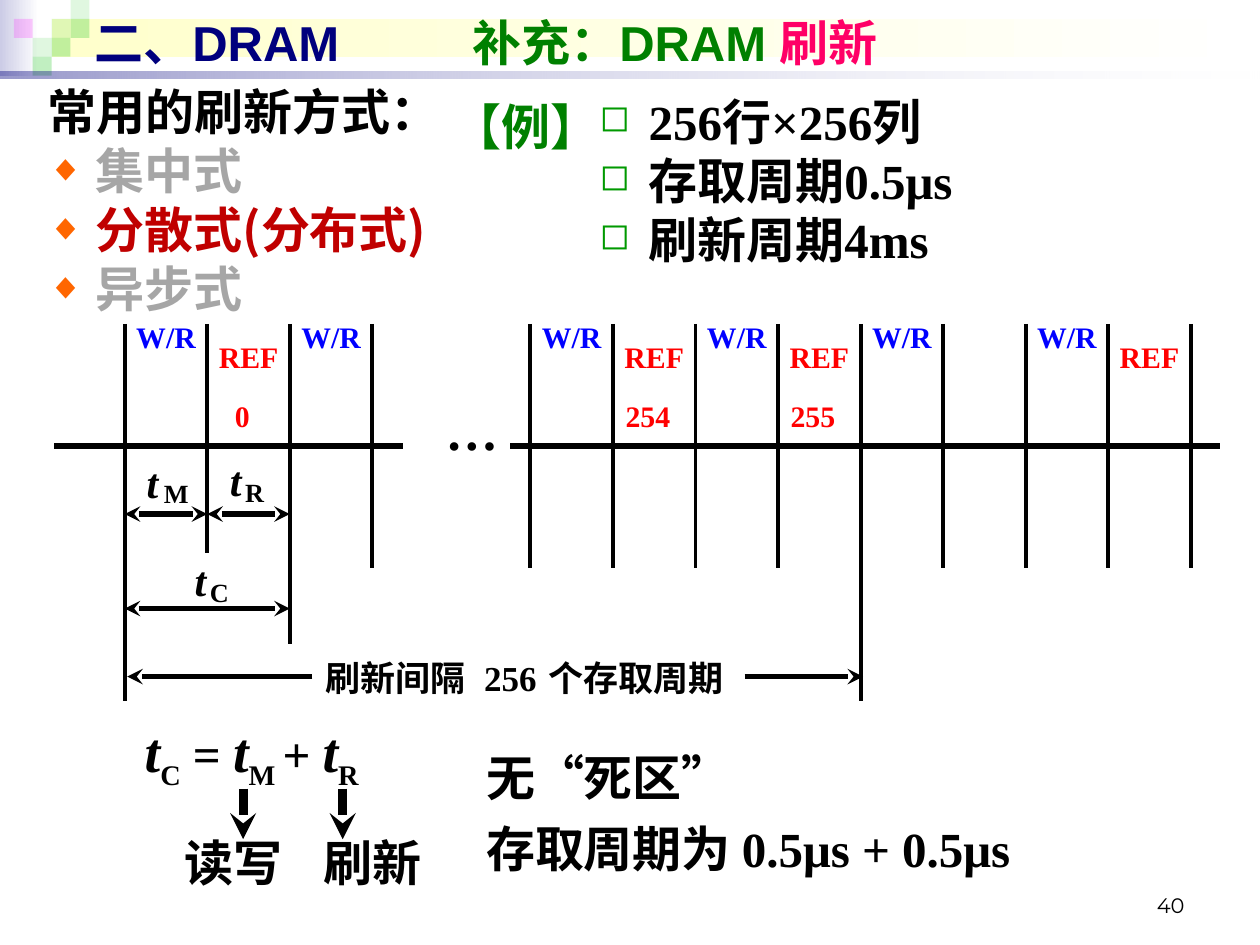
from lxml import etree
from pptx import Presentation
from pptx.dml.color import RGBColor
from pptx.enum.shapes import MSO_CONNECTOR, MSO_SHAPE
from pptx.enum.text import MSO_ANCHOR, MSO_AUTO_SIZE, PP_ALIGN
from pptx.oxml.ns import qn
from pptx.util import Inches, Pt

RECT, STRAIGHT = MSO_SHAPE.RECTANGLE, MSO_CONNECTOR.STRAIGHT
LEFT, CENTER, RIGHT = PP_ALIGN.LEFT, PP_ALIGN.CENTER, PP_ALIGN.RIGHT
TOP, MIDDLE, BOTTOM = MSO_ANCHOR.TOP, MSO_ANCHOR.MIDDLE, MSO_ANCHOR.BOTTOM
NO_FIT = MSO_AUTO_SIZE.NONE
SERIF, SANS, CJK, NUMBER = "Times New Roman", "Arial", "Noto Sans CJK SC", "Montserrat"
COLORS = {
    "black": "000000", "white": "FFFFFF", "navy": "00007D", "green": "008000",
    "pink": "FF0066", "gray": "A6A6A6", "crimson": "C00000", "blue": "0000FF",
    "red": "FF0000", "orange": "FF6600", "lime": "33CC33", "magenta": "FF00FF",
    "lavender": "CCCCE6", "cream": "FFFFCC", "box": "009900",
}


def rgb(name):
    """Return the named colour."""
    return RGBColor.from_string(COLORS[name])


def place(sp, box):
    """Move a shape to a box in inches."""
    sp.left, sp.top, sp.width, sp.height = map(Inches, box)


def set_alpha(sp, values):
    """Give each colour of a shape's fill its opacity in percent."""
    for clr, value in zip(sp._element.spPr.iter(qn("a:srgbClr")), values):
        etree.SubElement(clr, qn("a:alpha"), val=str(value * 1000))


def block(slide, box, colors, alphas=()):
    """Draw a plain or left-to-right graded rectangle."""
    sp = slide.shapes.add_shape(RECT, *map(Inches, box))
    sp.shadow.inherit = False
    sp.line.fill.background()
    if len(colors) == 1:
        sp.fill.solid()
        sp.fill.fore_color.rgb = rgb(colors[0])
    else:
        sp.fill.gradient()
        sp.fill.gradient_angle = 0
        for stop, color, position in zip(sp.fill.gradient_stops, colors, (0, 1)):
            stop.color.rgb, stop.position = rgb(color), position
    set_alpha(sp, alphas)


def write(p, runs, size, font=SERIF, color="black", bold=True, align=LEFT):
    """Fill a paragraph with runs, each a text and what differs in it."""
    p.alignment, p.space_before = align, Pt(0)
    for text, diff in runs:
        r = p.add_run()
        r.text = text
        r.font.name = diff.get("font", font)
        r.font.size = Pt(diff.get("size", size))
        r.font.bold, r.font.italic = bold, diff.get("italic", False)
        r.font.color.rgb = rgb(diff.get("color", color))
        if diff.get("sub"):
            r._r.get_or_add_rPr().set("baseline", "-25000")


def bullet(p, char, color, indent):
    """Hang a paragraph, with a coloured bullet if a character is given."""
    pPr = p._p.get_or_add_pPr()
    pPr.set("marL", str(Inches(indent)))
    pPr.set("indent", str(-Inches(indent)))
    if not char:
        etree.SubElement(pPr, qn("a:buNone"))
        return
    clr = etree.SubElement(pPr, qn("a:buClr"))
    etree.SubElement(clr, qn("a:srgbClr"), val=COLORS[color])
    etree.SubElement(pPr, qn("a:buSzPct"), val="75000")
    etree.SubElement(pPr, qn("a:buChar"), char=char)


def frame(sp, anchor=TOP, wrap=True, inset=True):
    """Prepare a text frame and return it."""
    tf = sp.text_frame
    tf.word_wrap, tf.vertical_anchor, tf.auto_size = wrap, anchor, NO_FIT
    tf.margin_left = tf.margin_right = Inches(0.1 if inset else 0)
    tf.margin_top = tf.margin_bottom = Inches(0.05 if inset else 0)
    return tf


def label(slide, box, runs, size, anchor=TOP, wrap=True, inset=True, **style):
    """Add a one-paragraph text box."""
    sp = slide.shapes.add_textbox(*map(Inches, box))
    runs = [(runs, {})] if isinstance(runs, str) else runs
    write(frame(sp, anchor, wrap, inset).paragraphs[0], runs, size, **style)


def tag(slide, cx, y, w, h, text, size, color="black", italic=False):
    """Add a tight label centred on cx."""
    label(slide, (cx - w / 2, y, w, h), [(text, {"italic": italic})], size,
          wrap=False, inset=False, align=CENTER, color=color)


def line(slide, x1, y1, x2, y2, width, ends=()):
    """Draw a black line, with stealth arrowheads at the named ends."""
    c = slide.shapes.add_connector(STRAIGHT, *map(Inches, (x1, y1, x2, y2)))
    c.line.color.rgb, c.line.width = rgb("black"), Pt(width)
    for end in ends:
        etree.SubElement(c.line._get_or_add_ln(), qn(f"a:{end}"), type="stealth")
    etree.SubElement(c._element.spPr, qn("a:effectLst"))


def bullet_list(sp, items, char, color, indent):
    """Write items as a list; an item is its runs and whether it has a bullet."""
    tf = frame(sp)
    for i, (runs, marked) in enumerate(items):
        p = tf.add_paragraph() if i else tf.paragraphs[0]
        bullet(p, char if marked else None, color, indent)
        write(p, runs, 28)


def banner(slide, box):
    """Draw the header band with its mosaic and the title over it."""
    x, y, w, h = box
    unit = h / 4
    block(slide, (x, y, 0.31, h), ("lavender", "white"))
    block(slide, (x + 0.41, y + unit, w - 0.45, 2 * unit), ("cream", "white"))
    tiles = [(2, 1, 15), (3, 0, 15), (3, 1, 30), (1, 2, 15), (0, 1, 20), (2, 2, 30), (1, 3, 30)]
    for col, row, alpha in tiles:
        color = "lime" if col else "magenta"
        block(slide, (x + 0.11 + col * unit, y + row * unit, unit, unit), (color,), (alpha,))
    block(slide, (x, y + 0.57, w, 0.05), ("navy", "white"), (40, 10))
    title = slide.shapes.title
    slide.shapes._spTree.append(title._element)
    place(title, (x + 0.65, y + 0.05, 9.16, 0.57))
    p = frame(title, MIDDLE).paragraphs[0]
    tabs = etree.SubElement(p._p.get_or_add_pPr(), qn("a:tabLst"))
    etree.SubElement(tabs, qn("a:tab"), pos=str(Inches(3)), algn="l")
    write(p, [("二、DRAM \t", {}), ("补充：DRAM ", {"color": "green"}),
              ("刷新", {"color": "pink"})], 28, SANS, "navy")


def methods(slide, box):
    """Fill the body placeholder with the refresh methods."""
    body = slide.placeholders[1]
    place(body, box)
    gray, red = {"color": "gray"}, {"color": "crimson"}
    paren = {"color": "crimson", "font": CJK}
    bullet_list(body, [([("常用的刷新方式：", {})], False), ([("集中式", gray)], True),
                       ([("分散式", red), ("(", paren), ("分布式", red), (")", paren)], True),
                       ([("异步式", gray)], True)], "◆", "orange", 0.38)


def example(slide, box):
    """Place the example heading and its figures."""
    x, y, w, h = box
    sp = slide.shapes.add_textbox(*map(Inches, (x + 1.18, y, w - 1.18, h)))
    facts = ("256行×256列", "存取周期0.5μs", "刷新周期4ms")
    bullet_list(sp, [([(fact, {})], True) for fact in facts], "◻", "box", 0.39)
    label(slide, (x, y + 0.04, 1.39, 0.57), "【例】", 28, wrap=False,
          font=SANS, color="green", align=CENTER)


def timeline(slide, box):
    """Draw the refresh timeline on a grid of equal cycles."""
    x, y, w, h = box
    step, axis = 0.655, y + 0.97
    first, second = x + 0.56, x + 3.78
    line(slide, x, axis, x + 2.77, axis, 3)
    line(slide, x + 3.62, axis, x + w, axis, 3)
    depths = {(first, 0): h, (first, 1): 1.82, (first, 2): 2.54, (second, 4): h}
    for start, count in ((first, 4), (second, 9)):
        for i in range(count):
            cx = start + i * step
            line(slide, cx, y, cx, y + depths.get((start, i), 1.94), 2.25)
    cells = [(first, 0, None), (first, 1, "0"), (first, 2, None), (second, 0, None),
             (second, 1, "254"), (second, 2, None), (second, 3, "255"),
             (second, 4, None), (second, 6, None), (second, 7, "")]
    for start, i, number in cells:
        cx = start + (i + 0.5) * step
        if number is None:
            tag(slide, cx, y - 0.04, 0.48, 0.29, "W/R", 17, "blue")
            continue
        tag(slide, cx, y + 0.12, 0.48, 0.29, "REF", 17, "red")
        if number:
            tag(slide, cx - 0.05, y + 0.59, 0.12 * len(number), 0.29, number, 17, "red")
    for dx, dy, gap, sub in ((0.22, 1.05, 0.19, "M"), (0.88, 1.04, 0.15, "R"), (0.6, 1.83, 0.15, "C")):
        tag(slide, first + dx, y + dy, 0.09, 0.4, "t", 24, italic=True)
        tag(slide, first + dx + gap, y + dy + 0.17, 0.18, 0.25, sub, 15)
    both = ("headEnd", "tailEnd")
    for start, end, dy in ((0, 1, 1.51), (1, 2, 1.51), (0, 2, 2.26)):
        line(slide, first + start * step, y + dy, first + end * step, y + dy, 3, both)
    span = y + 2.8
    line(slide, x + 2.05, span, first + 0.02, span, 3, ("tailEnd",))
    line(slide, x + 5.48, span, second + 4 * step + 0.02, span, 3, ("tailEnd",))
    for cx, tw, text in ((2.71, 1.12, "刷新间隔"), (3.62, 0.42, "256"), (4.62, 1.4, "个存取周期")):
        tag(slide, x + cx, span - 0.16, tw, 0.33, text, 20)
    label(slide, (x + 2.88, y + 0.54, 0.87, 0.6), "…", 30, align=CENTER)


def formula(slide, box):
    """Write the cycle formula with arrows down to its two terms."""
    x, y, w, h = box
    var, sub = {"size": 32, "italic": True}, {"sub": True}
    label(slide, (x, y, w, 0.63), [("t", var), ("C", sub), (" = ", {}), ("t", var), ("M ", sub),
                                   ("+ ", {}), ("t", var), ("R", sub)], 28)
    for arrow, left, text in ((0.88, 0.18, "读写"), (1.67, 1.28, "刷新")):
        line(slide, x + arrow, y + 0.62, x + arrow, y + 1.02, 5, ("tailEnd",))
        label(slide, (x + left, y + h - 0.57, 1.25, 0.57), text, 28, align=CENTER)


def conclusion(slide, box):
    """Write the two closing statements on equal rows."""
    x, y, w, h = box
    for i, text in enumerate(("无“死区”", "存取周期为 0.5μs + 0.5μs")):
        label(slide, (x, y + i * h / 2, w, h / 2), text, 28)


def main():
    """Build and save the slide."""
    prs = Presentation()
    prs.slide_width, prs.slide_height = Inches(10), Inches(7.5)
    slide = prs.slides.add_slide(prs.slide_layouts[1])
    banner(slide, (0, 0, 10, 0.6))
    methods(slide, (0.28, 0.6, 3.86, 1.97))
    example(slide, (3.48, 0.68, 4.8, 1.57))
    timeline(slide, (0.43, 2.57, 9.25, 2.99))
    formula(slide, (1.05, 5.64, 2.62, 1.49))
    conclusion(slide, (3.76, 5.88, 5.42, 1.14))
    label(slide, (7.17, 6.83, 2.33, 0.5), "40", 12, BOTTOM, font=NUMBER, bold=False, align=RIGHT)
    prs.save("out.pptx")


if __name__ == "__main__":
    main()
